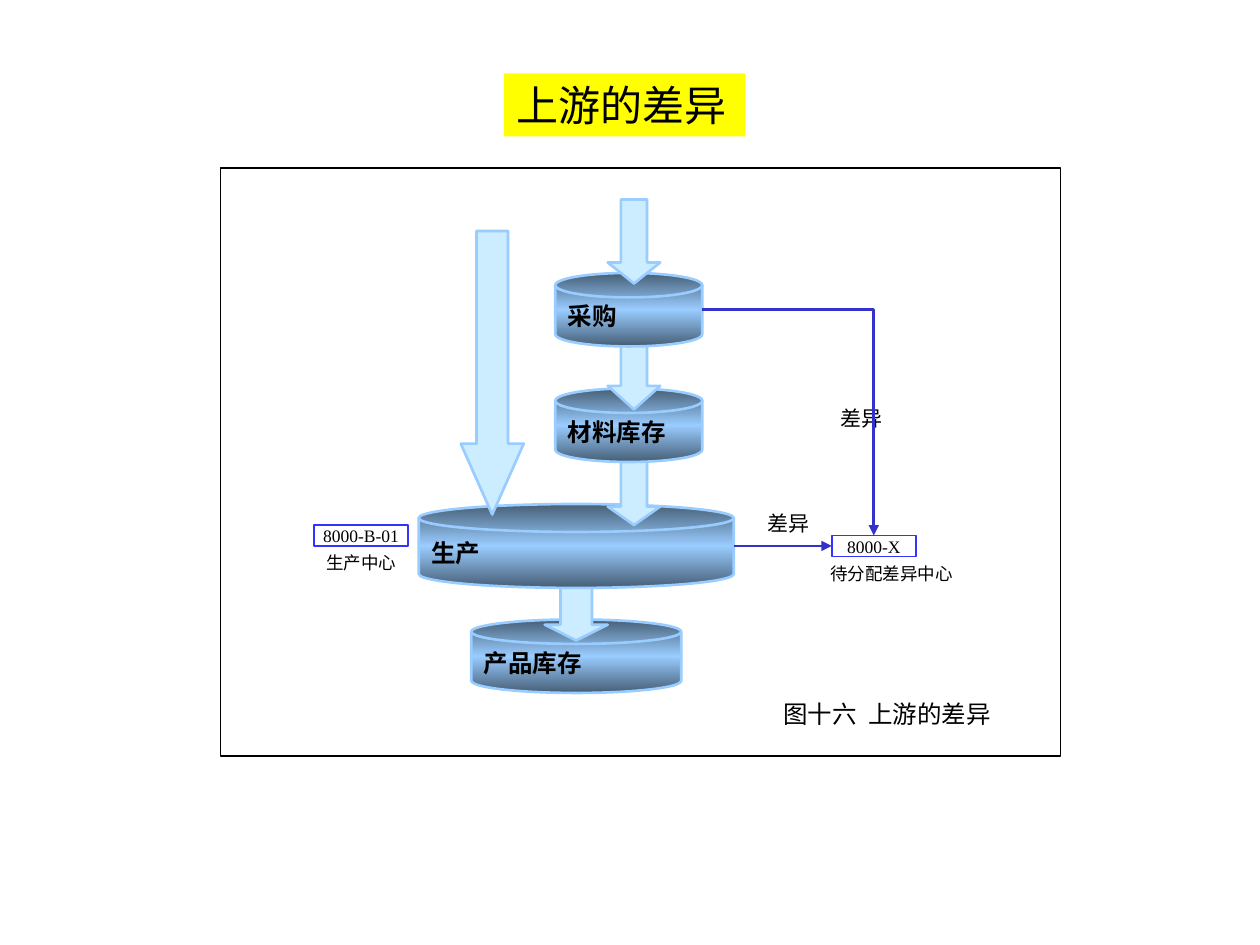
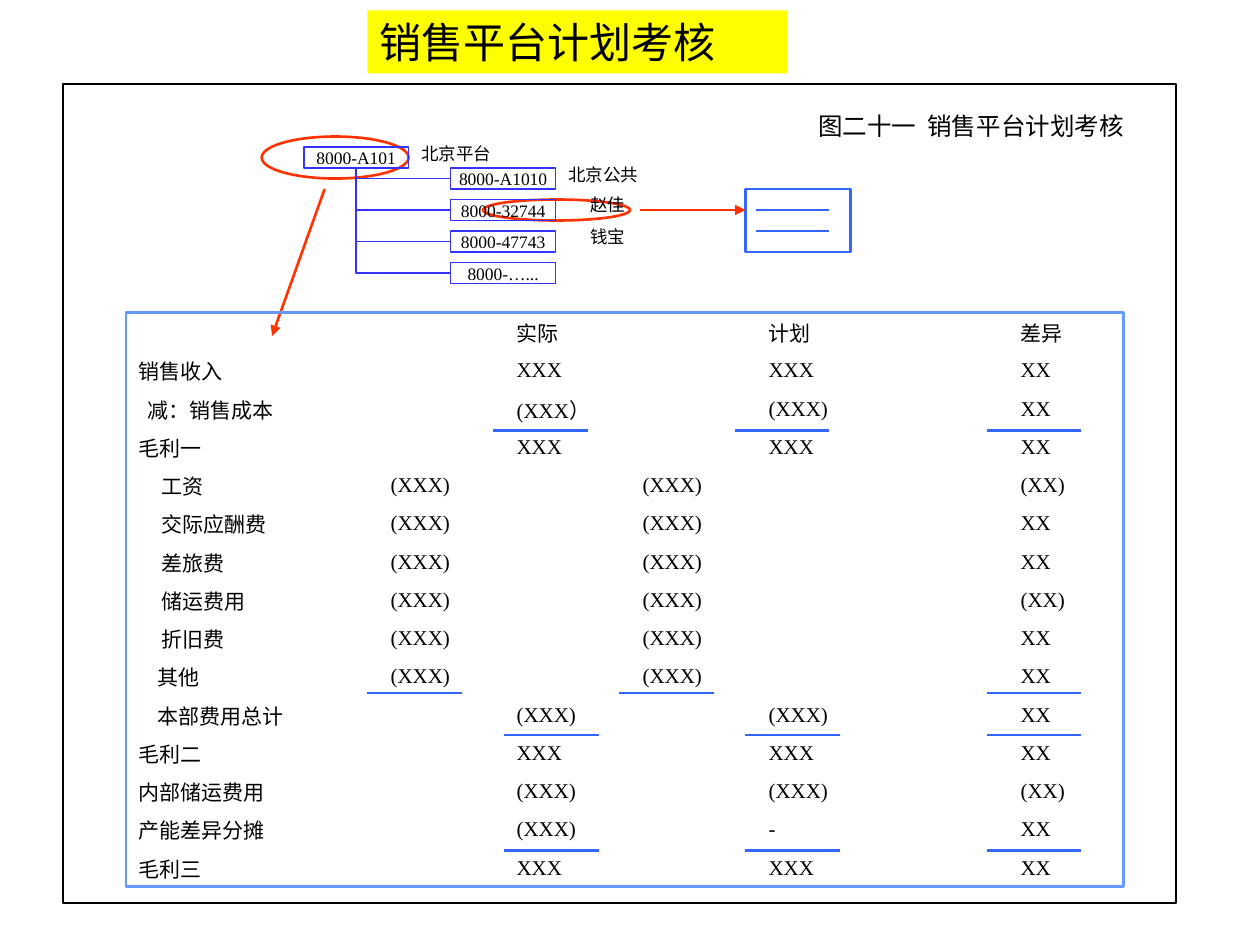
import copy
import dataclasses
import typing

import pptx
import pptx.dml.color
import pptx.enum.shapes
import pptx.enum.text
import pptx.oxml
import pptx.oxml.ns
import pptx.util
from lxml import etree

Pt = pptx.util.Pt
qn = pptx.oxml.ns.qn
Kind = pptx.enum.shapes.MSO_SHAPE
Link = pptx.enum.shapes.MSO_CONNECTOR
Align = pptx.enum.text.PP_ALIGN
Anchor = pptx.enum.text.MSO_ANCHOR

SERIF = "Times New Roman"
SANS = "Noto Sans CJK SC"
PLAIN = "{2D5ABB26-0587-4C30-8999-92F81FD0307C}"
INK = {
    "black": "000000", "white": "FFFFFF", "yellow": "FFFF00",
    "steel": "465E75", "sky": "99CCFF", "ice": "CCECFF",
    "code": "3333FF", "flow": "3333CC", "red": "FF3300",
    "rule": "3366FF", "frame": "6699FF",
}


@dataclasses.dataclass(frozen=True)
class Look:
    kind: typing.Any = None
    fill: str = ""
    line: str = ""
    width: float = 1.5
    font: dict = dataclasses.field(default_factory=dict)
    align: typing.Any = Align.LEFT
    frame: dict = dataclasses.field(default_factory=dict)


@dataclasses.dataclass(frozen=True)
class Item:
    look: str
    x: float
    y: float
    w: float
    h: float
    text: str = ""
    bend: float = 0


@dataclasses.dataclass(frozen=True)
class Row:
    label: str
    cells: tuple
    indent: float = 0


BASE = {"margin_left": Pt(7.2), "margin_right": Pt(7.2),
        "margin_top": Pt(3.6), "margin_bottom": Pt(3.6),
        "word_wrap": True, "vertical_anchor": Anchor.MIDDLE}
TIGHT = {"word_wrap": False}
SMALL = {"size": Pt(10), "name": SERIF}
BODY = {"size": Pt(12), "name": SERIF}
LOOKS = {
    "title": Look(Kind.RECTANGLE, "yellow", font={"size": Pt(24), "name": SANS}),
    "panel": Look(Kind.RECTANGLE, "white", "black", 1),
    "disk": Look(Kind.FLOWCHART_MAGNETIC_DISK, "steel", "sky",
                 font={"size": Pt(14), "name": SERIF, "bold": True}),
    "drop": Look(Kind.DOWN_ARROW, "ice", "sky"),
    "ring": Look(Kind.OVAL, "white", "red"),
    "code": Look(Kind.RECTANGLE, "", "code", 1, SMALL, Align.CENTER, TIGHT),
    "note": Look(font=SMALL, align=Align.CENTER, frame=TIGHT),
    "label": Look(font=BODY),
    "figure": Look(font={"size": Pt(14), "name": SERIF}, align=Align.CENTER,
                   frame={"vertical_anchor": Anchor.TOP}),
    "sheet": Look(Kind.RECTANGLE, "", "frame"),
    "card": Look(Kind.RECTANGLE, "white", "rule"),
}

UPSTREAM = [
    Item("panel", 126, 96, 480, 336),
    Item("disk", 269.3, 354, 120, 42, "产品库存"),
    Item("drop", 311.3, 330, 36, 36, bend=0.25),
    Item("disk", 239.3, 288, 180, 48, "生产"),
    Item("drop", 347.3, 258, 30, 42, bend=0.35),
    Item("disk", 317.3, 222, 84, 42, "材料库存"),
    Item("drop", 347.3, 180, 30, 54, bend=0.45),
    Item("disk", 317.3, 156, 84, 42, "采购"),
    Item("drop", 347.3, 114, 30, 48, bend=0.4),
    Item("drop", 263.3, 132, 36, 162, bend=1.125),
    Item("code", 475.3, 306, 48, 12, "8000-X"),
    Item("note", 465.5, 318, 88, 19.4, "待分配差异中心"),
    Item("code", 179.3, 300, 54, 12, "8000-B-01"),
    Item("note", 177.3, 312, 58, 19.4, "生产中心"),
    Item("label", 473, 228, 48, 21.6, "差异"),
    Item("label", 431.3, 288, 42, 21.6, "差异"),
    Item("title", 288, 42, 138, 36, "上游的差异"),
    Item("figure", 420, 396, 174, 24.5, "图十六  上游的差异"),
]
STAFF = ["8000-A1010", "8000-32744", "8000-47743", "8000-…..."]
PLAN = [
    Item("panel", 36, 48, 636, 468),
    Item("ring", 276, 114, 84, 12),
    Item("ring", 149.5, 78, 84, 24),
    Item("code", 173.5, 84, 60, 12, "8000-A101"),
    Item("note", 231.8, 78, 58, 19.4, "北京平台"),
    *[Item("code", 257.5, 96 + 18 * n, 60, 12, name)
      for n, name in enumerate(STAFF)],
    Item("note", 315.8, 90, 58, 19.4, "北京公共"),
    Item("note", 325.3, 107.3, 44, 19.4, "赵佳"),
    Item("note", 325.3, 125.3, 44, 19.4, "钱宝"),
    Item("title", 210, 6, 240, 36, "销售平台计划考核"),
    Item("card", 426, 108, 60, 36),
    Item("figure", 450, 60, 210, 24.5, "图二十一  销售平台计划考核"),
]

TOP, PITCH = 178.6, 21.88
COLS = [144, 72, 72, 72, 144, 66]


def total(label: str, real: str, plan: str, gap: str, indent: float = 0) -> Row:
    return Row(label, ("", real, "", plan, gap), indent)


def cost(label: str, gap: str, indent: float = 13) -> Row:
    return Row(label, ("(XXX)", "", "(XXX)", "", gap), indent)


ROWS = [
    total("", "实际", "计划", "差异"),
    total("销售收入", "XXX", "XXX", "XX"),
    total("减：销售成本", "(XXX）", "(XXX)", "XX", 5),
    total("毛利一", "XXX", "XXX", "XX"),
    cost("工资", "(XX)"),
    cost("交际应酬费", "XX"),
    cost("差旅费", "XX"),
    cost("储运费用", "(XX)"),
    cost("折旧费", "XX"),
    cost("其他", "XX", 11),
    total("本部费用总计", "(XXX)", "(XXX)", "XX", 11),
    total("毛利二", "XXX", "XXX", "XX"),
    total("内部储运费用", "(XXX)", "(XXX)", "(XX)"),
    total("产能差异分摊", "(XXX)", "-", "XX"),
    total("毛利三", "XXX", "XXX", "XX"),
]
RULES = {246: (282, 420, 564), 396: (210, 354, 564),
         420: (288, 426, 564), 486: (288, 426, 564)}


def tint(name: str) -> pptx.dml.color.RGBColor:
    return pptx.dml.color.RGBColor.from_string(INK[name])


def apply(thing: typing.Any, values: dict) -> None:
    for key, value in values.items():
        setattr(thing, key, value)


def write(para: typing.Any, text: str, font: dict) -> None:
    if not text:
        end = etree.SubElement(para._p, qn("a:endParaRPr"))
        end.set("sz", str(int(font["size"].pt * 100)))
        return
    run = para.add_run()
    run.text = text
    apply(run.font, font)
    run.font.color.rgb = tint("black")
    east = etree.SubElement(run.font._element, qn("a:ea"))
    east.set("typeface", SANS)


def shade(shape: typing.Any) -> None:
    shape.fill.gradient()
    shape.fill.gradient_angle = 270
    stops = shape.element.find(".//" + qn("a:gsLst"))
    stops.append(copy.deepcopy(stops[0]))
    marks = [(0, "steel"), (0.5, "sky"), (1, "steel")]
    for stop, (place, name) in zip(shape.fill.gradient_stops, marks):
        stop.position = place
        stop.color.rgb = tint(name)


def draw(slide: typing.Any, item: Item) -> typing.Any:
    look = LOOKS[item.look]
    area = [Pt(v) for v in (item.x, item.y, item.w, item.h)]
    if look.kind is None:
        shape = slide.shapes.add_textbox(*area)
    else:
        shape = slide.shapes.add_shape(look.kind, *area)
        shape.shadow.inherit = False
        if item.look == "disk":
            shade(shape)
        elif look.fill:
            shape.fill.solid()
            shape.fill.fore_color.rgb = tint(look.fill)
        else:
            shape.fill.background()
        if look.line:
            shape.line.color.rgb = tint(look.line)
            shape.line.width = Pt(look.width)
        else:
            shape.line.fill.background()
    if item.bend:
        shape.adjustments[0] = 0.5
        shape.adjustments[1] = item.bend
    if item.text:
        apply(shape.text_frame, {**BASE, **look.frame})
        para = shape.text_frame.paragraphs[0]
        para.alignment = look.align
        write(para, item.text, look.font)
    return shape


def link(slide: typing.Any, ends: tuple, ink: str, width: float = 1.5,
         arrow: bool = False, elbow: bool = False) -> typing.Any:
    kind = Link.ELBOW if elbow else Link.STRAIGHT
    wire = slide.shapes.add_connector(kind, *[Pt(v) for v in ends])
    wire.line.color.rgb = tint(ink)
    wire.line.width = Pt(width)
    if elbow:
        wire.element.find(".//" + qn("a:prstGeom")).set("prst", "bentConnector2")
    if arrow:
        tail = etree.SubElement(wire.line._get_or_add_ln(), qn("a:tailEnd"))
        tail.set("type", "triangle")
    etree.SubElement(wire.element.spPr, qn("a:effectLst"))
    return wire


def leave(wire: typing.Any, disk: typing.Any) -> None:
    wire.begin_connect(disk, 3)
    wire.element.find(".//" + qn("a:stCxn")).set("idx", "4")


def fill_sheet(slide: typing.Any) -> None:
    size = (sum(COLS), PITCH * len(ROWS))
    draw(slide, Item("sheet", 72, TOP, *size))
    grid = slide.shapes.add_table(len(ROWS), len(COLS), Pt(72), Pt(TOP),
                                  *[Pt(v) for v in size]).table
    apply(grid, {"first_row": False, "horz_banding": False})
    grid._tbl.find(".//" + qn("a:tableStyleId")).text = PLAIN
    for col, width in zip(grid.columns, COLS):
        col.width = Pt(width)
    for line, row in zip(grid.rows, ROWS):
        line.height = Pt(PITCH)
        for n, (cell, text) in enumerate(zip(line.cells, (row.label, *row.cells))):
            left = 7.2 + (0 if n else row.indent)
            apply(cell, {"margin_left": Pt(left), "margin_right": Pt(0),
                         "margin_top": Pt(1), "margin_bottom": Pt(0),
                         "vertical_anchor": Anchor.MIDDLE})
            cell.fill.background()
            write(cell.text_frame.paragraphs[0], text, BODY)
    for y, starts in RULES.items():
        for x in starts:
            link(slide, (x, y, x + 54, y), "rule")


def draw_all(slide: typing.Any, items: list) -> dict:
    return {item.text: draw(slide, item) for item in items}


def show_flow(slide: typing.Any) -> None:
    parts = draw_all(slide, UPSTREAM)
    pool = parts["8000-X"]
    bent = link(slide, (401.3, 177, 499.3, 306), "flow", arrow=True, elbow=True)
    leave(bent, parts["采购"])
    bent.end_connect(pool, 0)
    flat = link(slide, (419.3, 312, 475.3, 312), "flow", arrow=True)
    leave(flat, parts["生产"])
    flat.end_connect(pool, 1)


def show_plan(slide: typing.Any) -> None:
    parts = draw_all(slide, PLAN)
    for n, name in enumerate(STAFF):
        wire = link(slide, (257.5, 102 + 18 * n, 203.5, 96), "code", 1, elbow=True)
        wire.begin_connect(parts[name], 1)
        wire.end_connect(parts["8000-A101"], 2)
    link(slide, (185.5, 108, 155.5, 192), "red", arrow=True)
    link(slide, (366, 120, 426, 120), "red", arrow=True)
    for y in (120, 132):
        link(slide, (432, y, 474, y), "rule")
    fill_sheet(slide)


def main() -> None:
    deck = pptx.Presentation()
    apply(deck, {"slide_width": Pt(720), "slide_height": Pt(540)})
    for show in (show_flow, show_plan):
        show(deck.slides.add_slide(deck.slide_layouts[6]))
    deck.save("out.pptx")


if __name__ == "__main__":
    main()
